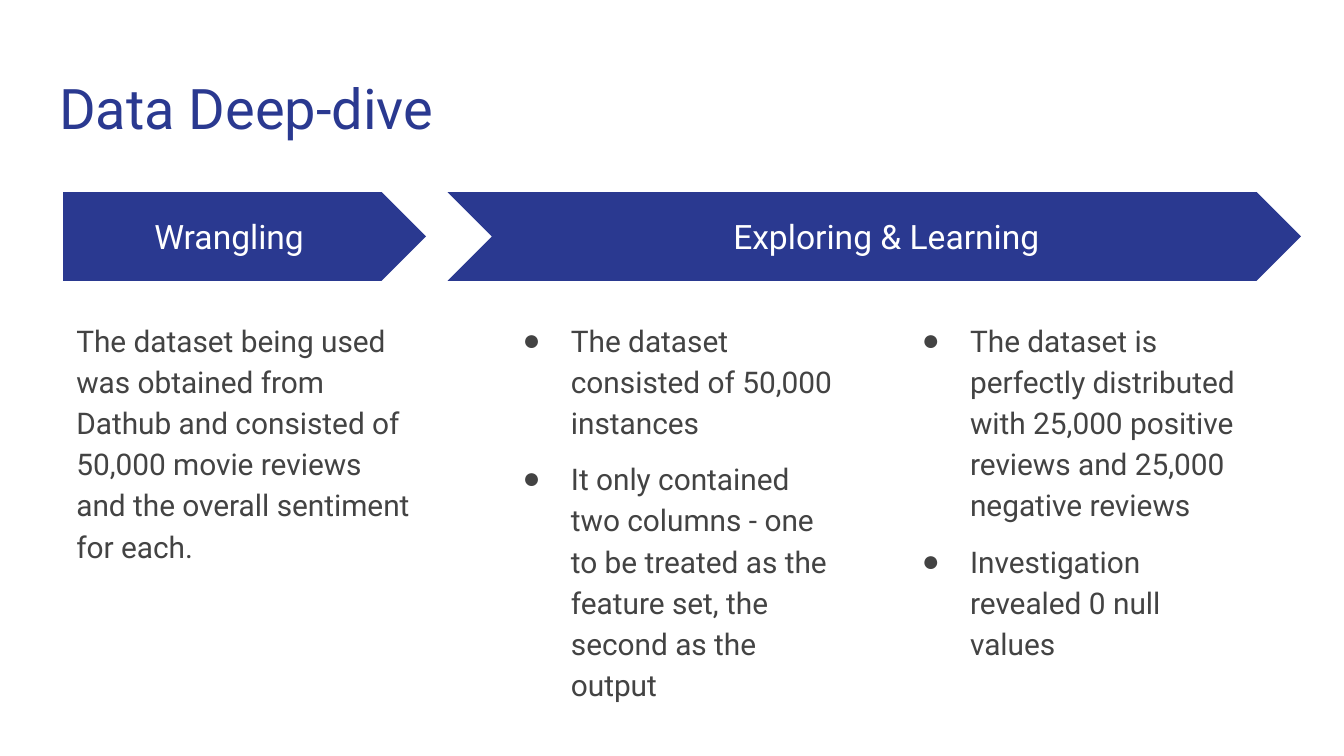
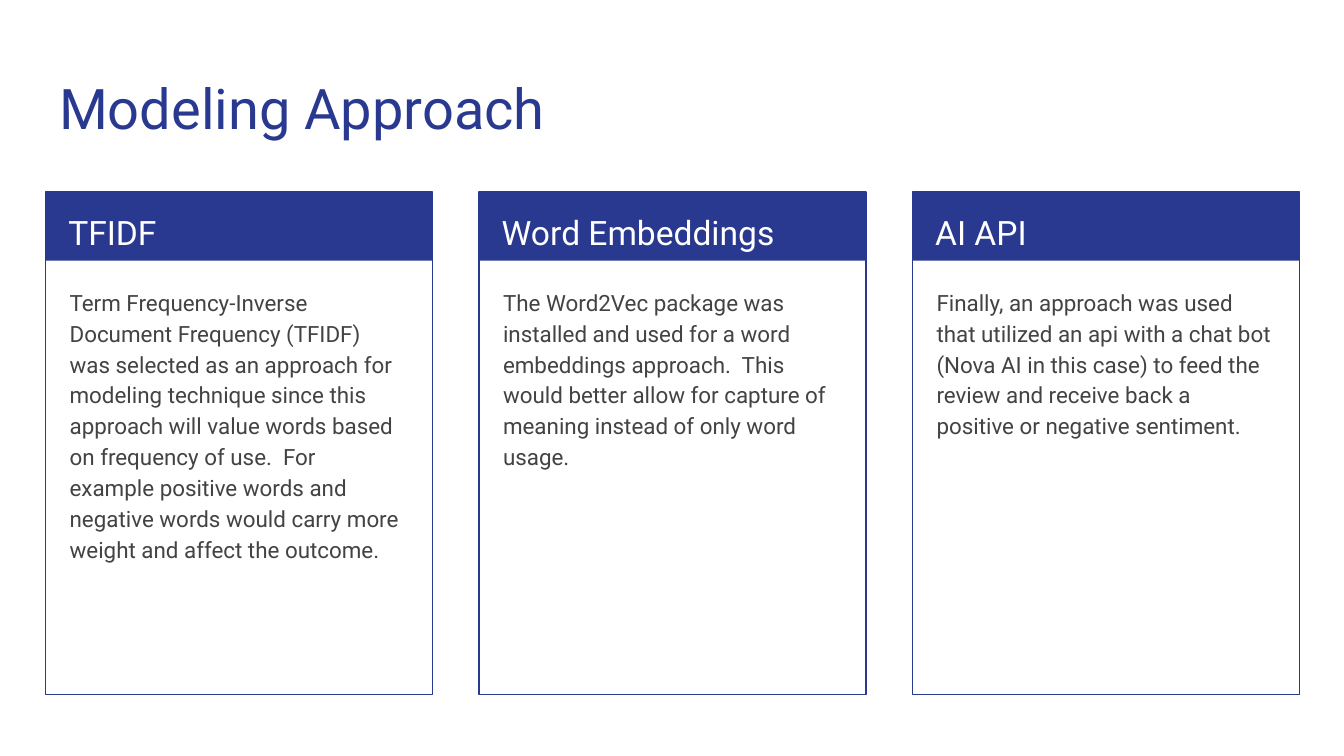
from lxml.etree import SubElement
from pptx import Presentation
from pptx.dml.color import RGBColor
from pptx.enum.shapes import MSO_SHAPE as Preset
from pptx.enum.text import MSO_ANCHOR as Anchor, MSO_AUTO_SIZE as AutoSize, PP_ALIGN as Align
from pptx.oxml.ns import qn
from pptx.util import Inches, Pt

FONT = "Roboto"
BULLET_FONT = "Arial"
COLORS = {"navy": "2A3990", "text": "434343", "white": "FFFFFF"}
TITLE_BOX = (0.34, 0.45, 9.32, 0.66)
BAND_TOP = 1.43

DIVE_TITLE = "Data Deep-dive"
ARROWS = [
    (Preset.PENTAGON, 0.47, 2.7, "Wrangling", 0.47, 2.47),
    (Preset.CHEVRON, 3.33, 6.35, "Exploring & Learning", 4, 5.19),
]
DIVE_COLUMNS = [
    (0.47, False, [
        "The dataset being used was obtained from Dathub and consisted of 50,000 movie reviews "
        "and the overall sentiment for each.",
    ]),
    (3.65, True, [
        "The dataset consisted of 50,000 instances",
        "It only contained two columns - one to be treated as the feature set, "
        "the second as the output",
    ]),
    (6.62, True, [
        "The dataset is perfectly distributed with 25,000 positive reviews "
        "and 25,000 negative reviews",
        "Investigation revealed 0 null values",
    ]),
]

MODEL_TITLE = "Modeling Approach"
CARDS = [
    ("TFIDF",
     "Term Frequency-Inverse Document Frequency (TFIDF) was selected as an approach for modeling "
     "technique since this approach will value words based on frequency of use.  For example "
     "positive words and negative words would carry more weight and affect the outcome."),
    ("Word Embeddings",
     "The Word2Vec package was installed and used for a word embeddings approach.  This would "
     "better allow for capture of meaning instead of only word usage."),
    ("AI API",
     "Finally, an approach was used that utilized an api with a chat bot (Nova AI in this case) "
     "to feed the review and receive back a positive or negative sentiment."),
]
CARDS_LEFT, CARDS_RIGHT, CARD_WIDTH = 0.34, 9.67, 2.88
CARD_STEP = (CARDS_RIGHT - CARDS_LEFT - CARD_WIDTH) / (len(CARDS) - 1)


def rgb(name):
    return RGBColor.from_string(COLORS[name])


def inches(box):
    return [Inches(value) for value in box]


def write(shape, texts, size, color, align=Align.LEFT, anchor=Anchor.TOP, spacing=1.0):
    frame = shape.text_frame
    frame.word_wrap = True
    frame.auto_size = AutoSize.NONE
    frame.vertical_anchor = anchor
    frame.margin_left = frame.margin_right = Inches(0.1)
    frame.margin_top = frame.margin_bottom = Inches(0.1)
    frame.text = "\n".join(texts)
    for paragraph in frame.paragraphs:
        paragraph.alignment = align
        paragraph.line_spacing = spacing
        paragraph.font.name = FONT
        paragraph.font.size = Pt(size)
        paragraph.font.color.rgb = rgb(color)
    return frame.paragraphs


def add_text(slide, box, texts, size, color, **style):
    return write(slide.shapes.add_textbox(*inches(box)), texts, size, color, **style)


def add_block(slide, preset, box, fill=None, line=None):
    shape = slide.shapes.add_shape(preset, *inches(box))
    shape.shadow.inherit = False
    if fill:
        shape.fill.solid()
        shape.fill.fore_color.rgb = rgb(fill)
    else:
        shape.fill.background()
    if line:
        shape.line.color.rgb = rgb(line)
        shape.line.width = Pt(0.75)
    else:
        shape.line.fill.background()


def add_bullet(paragraph):
    properties = paragraph._p.get_or_add_pPr()
    properties.set("marL", str(Inches(0.5)))
    properties.set("indent", str(Inches(-0.36)))
    color = SubElement(properties, qn("a:buClr"))
    SubElement(color, qn("a:srgbClr"), val=COLORS["text"])
    SubElement(properties, qn("a:buFont"), typeface=BULLET_FONT)
    SubElement(properties, qn("a:buChar"), char="●")
    defaults = properties.find(qn("a:defRPr"))
    if defaults is not None:
        properties.append(defaults)


def add_titled_slide(presentation, title):
    slide = presentation.slides.add_slide(presentation.slide_layouts[5])
    shape = slide.shapes.title
    shape.left, shape.top, shape.width, shape.height = inches(TITLE_BOX)
    write(shape, [title], 30, "navy")
    return slide


def build_deep_dive(presentation):
    slide = add_titled_slide(presentation, DIVE_TITLE)
    for preset, left, width, label, label_left, label_width in ARROWS:
        add_block(slide, preset, (left, BAND_TOP, width, 0.66), fill="navy")
        add_text(slide, (label_left, 1.59, label_width, 0.34), [label], 18, "white",
                 align=Align.CENTER, anchor=Anchor.MIDDLE)
    for left, bulleted, texts in DIVE_COLUMNS:
        paragraphs = add_text(slide, (left, 2.26, 2.7, 2.9), texts, 16, "text", spacing=1.15)
        for paragraph in paragraphs[1:]:
            paragraph.space_before = Pt(8)
        paragraphs[-1].space_after = Pt(8)
        if bulleted:
            for paragraph in paragraphs:
                add_bullet(paragraph)


def build_modeling(presentation):
    slide = add_titled_slide(presentation, MODEL_TITLE)
    for index, (heading, body) in enumerate(CARDS):
        left = CARDS_LEFT + index * CARD_STEP
        add_block(slide, Preset.RECTANGLE, (left, BAND_TOP, CARD_WIDTH, 3.74), line="navy")
        add_block(slide, Preset.RECTANGLE, (left, BAND_TOP, CARD_WIDTH, 0.51), fill="navy")
        add_text(slide, (left + 0.07, BAND_TOP, 2.73, 0.5), [heading], 18, "white", spacing=1.15)
        add_text(slide, (left + 0.08, 2.02, 2.7, 3.06), [body], 12, "text", spacing=1.15)


def main():
    presentation = Presentation()
    presentation.slide_width = Inches(10)
    presentation.slide_height = presentation.slide_width * 9 // 16
    build_deep_dive(presentation)
    build_modeling(presentation)
    presentation.save("out.pptx")


if __name__ == "__main__":
    main()
